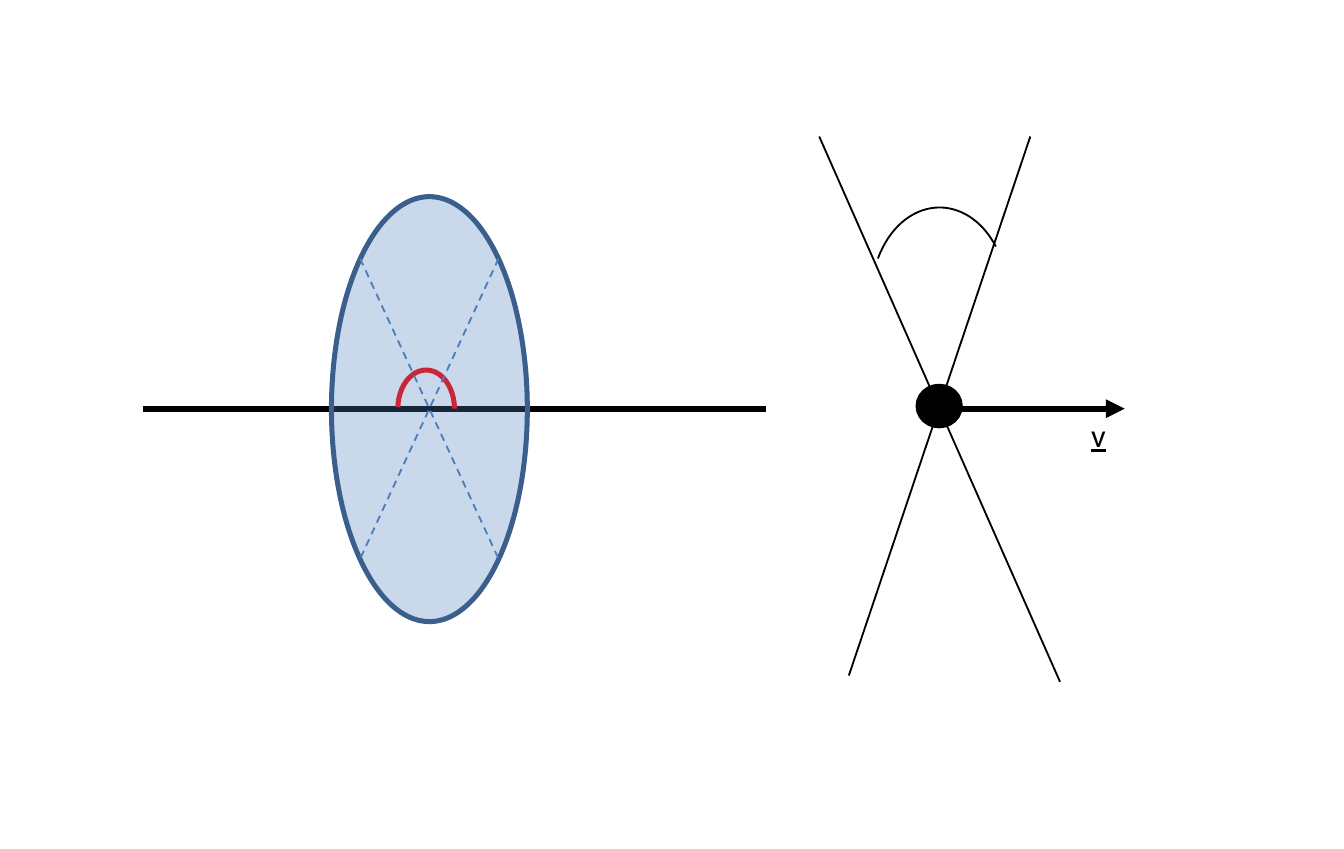
import lxml.etree
import pptx
import pptx.dml.color
import pptx.enum.dml
import pptx.enum.shapes
import pptx.enum.text
import pptx.oxml.ns
import pptx.util

PX = 4572  # EMU per px, 200 px to the inch
SLIDE_SIZE = 6840538, 4321175  # EMU, about 19 by 12 cm
COLOURS = {
    "ink": "000000",
    "angle": "FF0000",
    "disc": "4F81BD",
    "rim": "3A5F8C",
    "diagonal": "4B7EBC",
}
SHAPES = pptx.enum.shapes.MSO_SHAPE


def px(*lengths):
    return [pptx.util.Emu(length * PX) for length in lengths]


def rgb(name):
    return pptx.dml.color.RGBColor.from_string(COLOURS[name])


def add_xml(parent, tag, **attributes):
    return lxml.etree.SubElement(parent, pptx.oxml.ns.qn(tag), **attributes)


def write_text(frame, text, *, size, colour="ink", font="Calibri", underline=False):
    run = frame.paragraphs[0].add_run()
    run.text = text
    run.font.name = font
    run.font.size = pptx.util.Pt(size)
    run.font.underline = underline
    run.font.color.rgb = rgb(colour)


class Diagram:
    thin, medium, thick = 0.75, 2, 2.5

    def __init__(self, slide):
        self.shapes = slide.shapes

    def stroke(self, line, colour, width):
        line.color.rgb = rgb(colour)
        line.width = pptx.util.Pt(width)

    def line(self, start, end, colour="ink", width=thin, dashed=False, arrow=False):
        connector = self.shapes.add_connector(
            pptx.enum.shapes.MSO_CONNECTOR.STRAIGHT, *px(*start, *end))
        self.stroke(connector.line, colour, width)
        if dashed:
            connector.line.dash_style = pptx.enum.dml.MSO_LINE.DASH
        properties = connector._element.spPr
        if arrow:
            add_xml(properties.find(pptx.oxml.ns.qn("a:ln")), "a:tailEnd", type="triangle")
        add_xml(properties, "a:effectLst")

    def outline(self, kind, box, colour, width):
        shape = self.shapes.add_shape(kind, *px(*box))
        shape.shadow.inherit = False
        self.stroke(shape.line, colour, width)
        return shape

    def arc(self, box, angles, colour="ink", width=thin):
        """Draw an arc between two angles in degrees."""
        arc = self.outline(SHAPES.ARC, box, colour, width)
        arc.fill.background()
        for index, angle in enumerate(angles):
            arc.adjustments[index] = angle * 0.6

    def ellipse(self, box, fill, line, width=medium, opacity=100):
        ellipse = self.outline(SHAPES.OVAL, box, line, width)
        ellipse.fill.solid()
        ellipse.fill.fore_color.rgb = rgb(fill)
        if opacity < 100:
            colour = ellipse._element.spPr.find(
                pptx.oxml.ns.qn("a:solidFill") + "/" + pptx.oxml.ns.qn("a:srgbClr"))
            add_xml(colour, "a:alpha", val=str(opacity * 1000))

    def label(self, box, text, **style):
        frame = self.shapes.add_textbox(*px(*box)).text_frame
        frame.word_wrap = False
        frame.auto_size = pptx.enum.text.MSO_AUTO_SIZE.SHAPE_TO_FIT_TEXT
        write_text(frame, text, **style)


def main():
    deck = pptx.Presentation()
    deck.slide_width, deck.slide_height = map(pptx.util.Emu, SLIDE_SIZE)
    diagram = Diagram(deck.slides.add_slide(deck.slide_layouts[6]))
    axis = 455

    # Disc on its axis, with the angle between its diagonals
    diagram.line((159, axis), (853, axis), width=diagram.thick)
    diagram.arc((443, 412, 63, 86), (182.84, 0), "angle", diagram.medium)
    diagram.ellipse((369, 219, 218, 473), "disc", "rim", opacity=30)
    left, right, top, bottom = 401, 555, 288, 622
    for start, end in ((left, right), (right, left)):
        diagram.line((start, top), (end, bottom), "diagonal", dashed=True)

    # Particle with crossing lines and the angle between them
    diagram.ellipse((1022, 430, 47, 44), "ink", "ink")
    diagram.line((912, 152), (1180, 759))
    diagram.line((1147, 152), (945, 752))
    diagram.arc((970, 231, 152, 200), (212.19, 317.99))

    # Velocity arrow
    diagram.line((1044, axis), (1252, axis), width=diagram.thick, arrow=True)
    diagram.label((1195, 452, 56, 64), "v", size=13, underline=True)

    deck.save("out.pptx")


if __name__ == "__main__":
    main()
